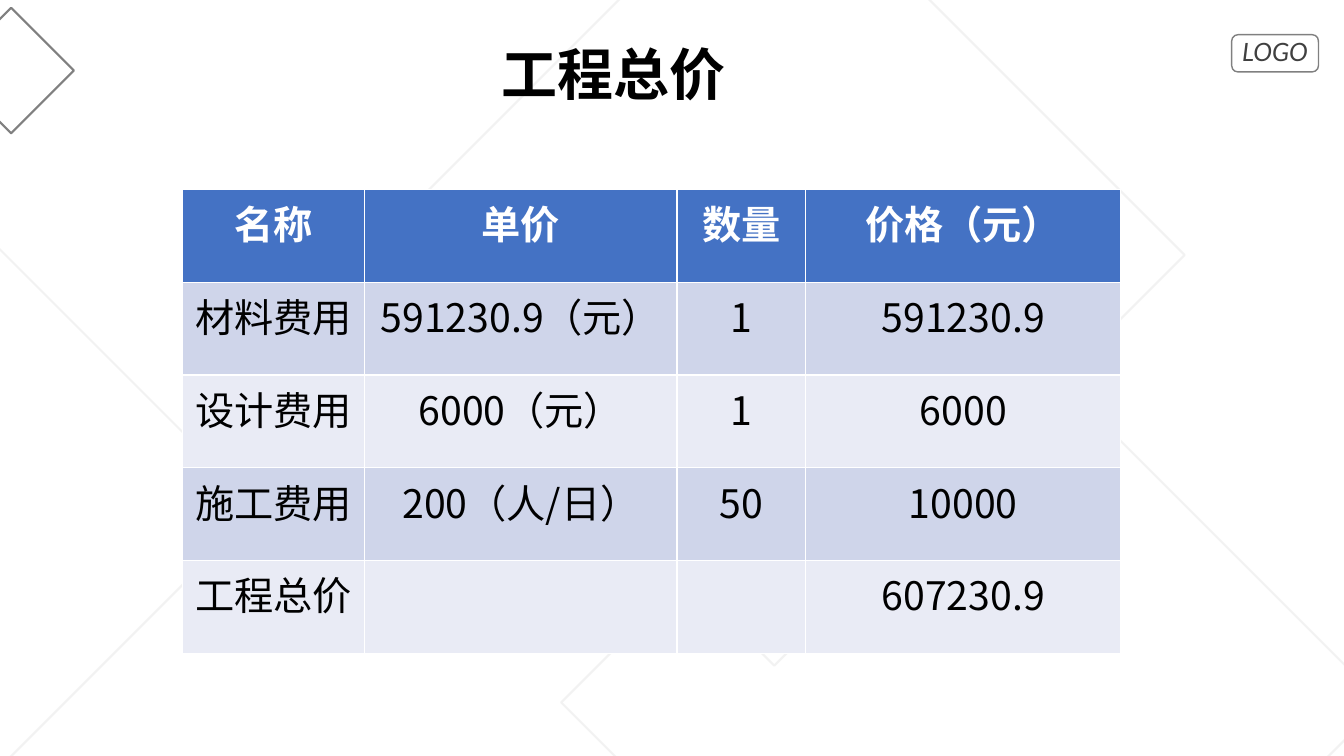
"""Build the project total price slide."""
from dataclasses import dataclass

import lxml.etree
import pptx
import pptx.dml.color
import pptx.enum.shapes
import pptx.enum.text
import pptx.oxml.ns
import pptx.util

Pt = pptx.util.Pt
SHAPE = pptx.enum.shapes.MSO_SHAPE
ALIGN = pptx.enum.text.PP_ALIGN


@dataclass(frozen=True)
class Theme:
    cjk: str = "Noto Sans CJK SC"
    latin: str = "Lato"
    black: str = "000000"
    white: str = "FFFFFF"
    pale: str = "F2F2F2"
    gray: str = "808080"
    dark: str = "404040"
    header: str = "4472C4"
    bands: tuple = ("CFD5EA", "E9EBF5")
    title_size: int = 40
    table_size: int = 28
    logo_size: int = 18


THEME = Theme()

SQUARES = [
    (-26.3, 363.2, 298.8, THEME.pale),
    (553, 182.2, 414.7, THEME.pale),
    (694.1, 501.8, 414.7, THEME.pale),
    (7.9, 50.4, 63.4, THEME.gray),
]

COLUMN_WIDTHS = (130.3, 223, 92, 225)
ROW_HEIGHT = 66.24
PRICES = [
    ("名称", "单价", "数量", "价格（元）"),
    ("材料费用", "591230.9（元）", "1", "591230.9"),
    ("设计费用", "6000（元）", "1", "6000"),
    ("施工费用", "200（人/日）", "50", "10000"),
    ("工程总价", "", "", "607230.9"),
]


def rgb(color):
    return pptx.dml.color.RGBColor.from_string(color)


def set_text(tf, text, size, color, name, bold=False, italic=False, align=ALIGN.CENTER):
    p = tf.paragraphs[0]
    p.text = text
    p.alignment = align
    font = p.font
    font.size = Pt(size)
    font.bold = bold
    font.italic = italic
    font.color.rgb = rgb(color)
    font.name = name
    latin = font._element.find(pptx.oxml.ns.qn("a:latin"))
    ea = lxml.etree.Element(pptx.oxml.ns.qn("a:ea"), typeface=name)
    latin.addnext(ea)


def add_outline(slide, kind, left, top, width, height, color, weight):
    sp = slide.shapes.add_shape(kind, Pt(left), Pt(top), Pt(width), Pt(height))
    sp.shadow.inherit = False
    sp.fill.background()
    sp.line.color.rgb = rgb(color)
    sp.line.width = Pt(weight)
    return sp


def add_diamond(slide, center_x, center_y, side, color):
    sp = add_outline(slide, SHAPE.RECTANGLE, center_x - side / 2,
                     center_y - side / 2, side, side, color, 1.5)
    sp.rotation = 45


def add_label(slide, left, top, width, height, text, size, color, name, **style):
    box = slide.shapes.add_textbox(Pt(left), Pt(top), Pt(width), Pt(height))
    tf = box.text_frame
    tf.word_wrap = True
    set_text(tf, text, size, color, name, **style)


def add_price_table(slide, left, top):
    table = slide.shapes.add_table(
        len(PRICES), len(COLUMN_WIDTHS), Pt(left), Pt(top),
        Pt(sum(COLUMN_WIDTHS)), Pt(ROW_HEIGHT * len(PRICES))).table
    for column, width in zip(table.columns, COLUMN_WIDTHS):
        column.width = Pt(width)
    for i, row in enumerate(PRICES):
        table.rows[i].height = Pt(ROW_HEIGHT)
        is_header = i == 0
        fill = THEME.header if is_header else THEME.bands[(i - 1) % 2]
        color = THEME.white if is_header else THEME.black
        for j, text in enumerate(row):
            cell = table.cell(i, j)
            cell.fill.solid()
            cell.fill.fore_color.rgb = rgb(fill)
            set_text(cell.text_frame, text, THEME.table_size, color,
                     THEME.cjk, bold=is_header)


def main():
    prs = pptx.Presentation()
    prs.slide_width, prs.slide_height = Pt(960), Pt(540)
    slide = prs.slides.add_slide(prs.slide_layouts[6])
    for square in SQUARES:
        add_diamond(slide, *square)
    add_outline(slide, SHAPE.ROUNDED_RECTANGLE, 879.8, 24.8, 62, 26.6, THEME.gray, 1)
    add_label(slide, 873.4, 22.3, 74.9, 28.8, "LOGO", THEME.logo_size,
              THEME.dark, THEME.latin, italic=True)
    add_label(slide, 351.4, 24.5, 357.8, 55.4, "工程总价", THEME.title_size,
              THEME.black, THEME.cjk, bold=True, align=ALIGN.LEFT)
    add_price_table(slide, 130.3, 135.4)
    prs.save("out.pptx")


if __name__ == "__main__":
    main()
